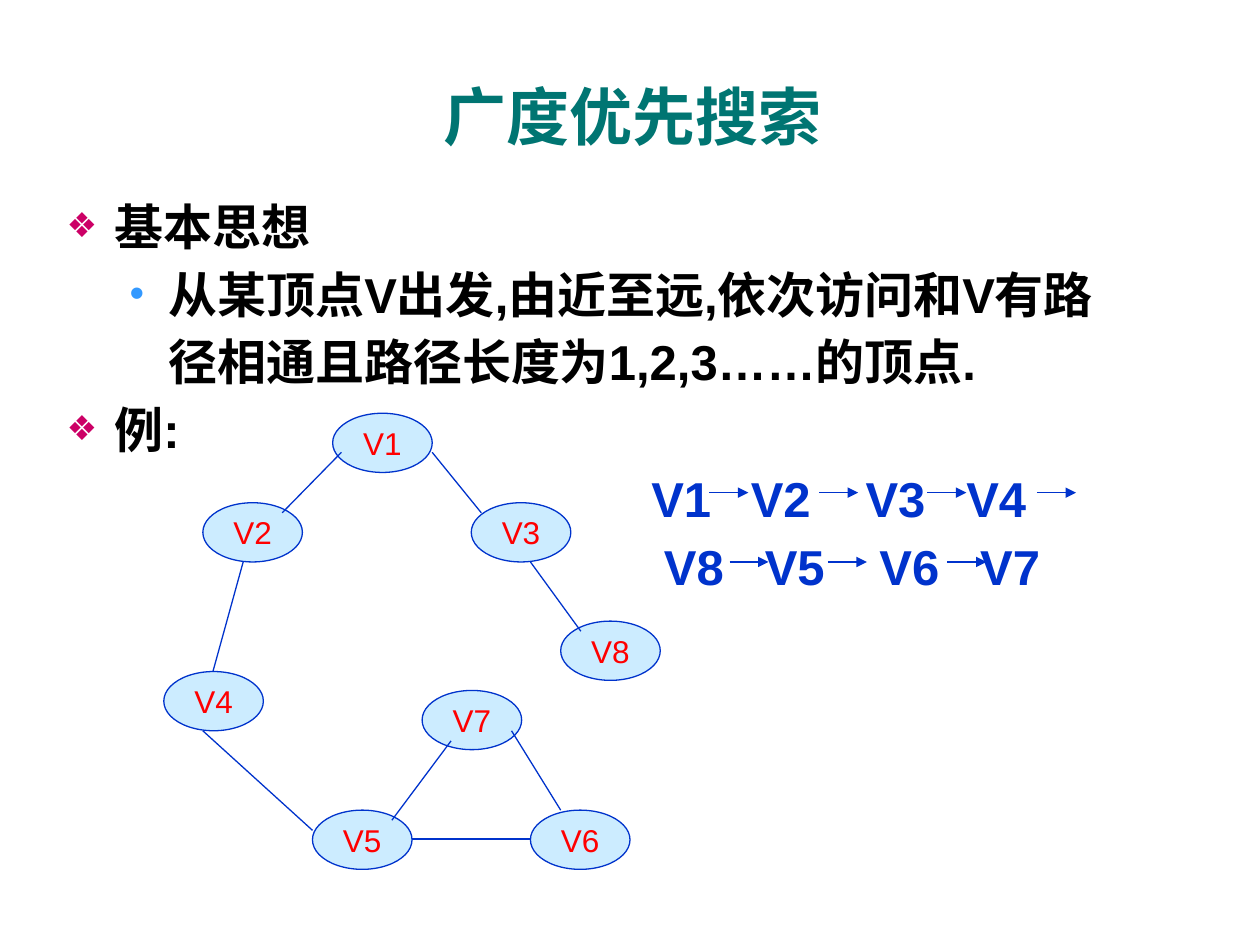
"""Build the breadth-first search slide with its example graph and visiting order."""
import pptx
import pptx.dml.color
import pptx.enum.shapes
import pptx.enum.text
import pptx.oxml
import pptx.oxml.ns
import pptx.util
from pptx.util import Inches

THEME = {
    "font": "Arial",
    "title": "007572", "body": "000000", "blue": "0033CC",
    "node_fill": "CCECFF", "node_text": "FF0000",
    "title_size": 36, "body_size": 28, "node_size": 18, "line_width": 0.75,
}
TITLE = "广度优先搜索"
BULLETS = {0: ("❖", "CC0066", 70, 0.38, -0.38), 1: ("•", "3399FF", 85, 0.81, -0.31)}
BODY = [
    (0, "基本思想"),
    (1, "从某顶点V出发,由近至远,依次访问和V有路径相通且路径长度为1,2,3……的顶点."),
    (0, "例:"),
]
BODY_BOX = (0.43, 1.44, 8.66, 5.38)
VISIT_ROWS = [
    {"names": ["V1", "V2", "V3", "V4"], "lefts": [5.17, 5.96, 6.87, 7.67], "top": 3.68,
     "arrows": [5.63, 6.5, 7.36, 8.23], "arrow_y": 3.91},
    {"names": ["V8", "V5", "V6", "V7"], "lefts": [5.27, 6.07, 6.98, 7.78], "top": 4.22,
     "arrows": [5.79, 6.57, 7.52], "arrow_y": 4.46},
]
VISIT_SIZE = (0.6, 0.54)
ARROW_LENGTH = 0.31
NODE_SIZE = (0.79, 0.47)
NODES = {
    "V1": (2.64, 3.28), "V2": (1.61, 3.99), "V3": (3.74, 3.99), "V4": (1.3, 5.33),
    "V5": (2.48, 6.43), "V7": (3.35, 5.48), "V6": (4.21, 6.43), "V8": (4.45, 4.93),
}
EDGES = [
    (1.93, 4.46, 1.69, 5.33), (2.71, 3.59, 2.24, 4.07), (3.43, 3.59, 3.82, 4.07),
    (1.61, 5.8, 2.48, 6.59), (3.58, 5.88, 3.11, 6.51), (4.06, 5.8, 4.45, 6.43),
    (3.27, 6.66, 4.21, 6.66), (4.21, 4.46, 4.61, 5.01),
]


def color(name):
    return pptx.dml.color.RGBColor.from_string(THEME[name])


def add_element(parent, tag, **attributes):
    element = pptx.oxml.parse_xml(f"<a:{tag} {pptx.oxml.ns.nsdecls('a')}/>")
    for key, value in attributes.items():
        element.set(key, str(value))
    parent.append(element)
    return element


def style_font(paragraph, size, color_name, bold):
    for run in paragraph.runs:
        run.font.name = THEME["font"]
        run.font.size = pptx.util.Pt(THEME[size])
        run.font.bold = bold
        run.font.color.rgb = color(color_name)


def add_bullet(paragraph, level):
    character, bullet_color, percent, margin, indent = BULLETS[level]
    paragraph.level = level
    properties = paragraph._p.get_or_add_pPr()
    properties.set("marL", str(Inches(margin)))
    properties.set("indent", str(Inches(indent)))
    add_element(add_element(properties, "buClr"), "srgbClr", val=bullet_color)
    add_element(properties, "buSzPct", val=percent * 1000)
    add_element(properties, "buFont", typeface=THEME["font"])
    add_element(properties, "buChar", char=character)


def add_title(slide):
    title = slide.shapes.title
    title.left, title.top, title.width, title.height = map(Inches, (0.35, 0.52, 9.34, 0.79))
    title.text_frame.text = TITLE
    title.text_frame.vertical_anchor = pptx.enum.text.MSO_ANCHOR.MIDDLE
    paragraph = title.text_frame.paragraphs[0]
    paragraph.alignment = pptx.enum.text.PP_ALIGN.CENTER
    style_font(paragraph, "title_size", "title", True)


def add_body(slide):
    frame = slide.shapes.add_textbox(*map(Inches, BODY_BOX)).text_frame
    frame.word_wrap = True
    frame.text = "\n".join(text for _, text in BODY)
    for paragraph, (level, _) in zip(frame.paragraphs, BODY):
        paragraph.line_spacing = 1.15
        add_bullet(paragraph, level)
        style_font(paragraph, "body_size", "body", True)


def add_visit_label(slide, name, left, top):
    frame = slide.shapes.add_textbox(*map(Inches, (left, top) + VISIT_SIZE)).text_frame
    frame.margin_left = frame.margin_right = frame.margin_top = frame.margin_bottom = 0
    frame.word_wrap = True
    frame.vertical_anchor = pptx.enum.text.MSO_ANCHOR.MIDDLE
    frame.text = name
    style_font(frame.paragraphs[0], "body_size", "blue", True)


def add_node(group, name, position):
    shape = group.shapes.add_shape(
        pptx.enum.shapes.MSO_SHAPE.OVAL, *map(Inches, position + NODE_SIZE))
    shape.shadow.inherit = False
    shape.fill.solid()
    shape.fill.fore_color.rgb = color("node_fill")
    shape.line.color.rgb = color("blue")
    shape.line.width = pptx.util.Pt(THEME["line_width"])
    frame = shape.text_frame
    frame.text = name
    frame.word_wrap = False
    frame.vertical_anchor = pptx.enum.text.MSO_ANCHOR.MIDDLE
    frame.paragraphs[0].alignment = pptx.enum.text.PP_ALIGN.CENTER
    style_font(frame.paragraphs[0], "node_size", "node_text", False)


def add_line(group, ends, arrow=False):
    connector = group.shapes.add_connector(
        pptx.enum.shapes.MSO_CONNECTOR.STRAIGHT, *map(Inches, ends))
    connector.line.color.rgb = color("blue")
    connector.line.width = pptx.util.Pt(THEME["line_width"])
    if arrow:
        add_element(connector.line._get_or_add_ln(), "tailEnd", type="triangle")
    add_element(connector._element.spPr, "effectLst")


def main():
    presentation = pptx.Presentation()
    presentation.slide_width, presentation.slide_height = Inches(10), Inches(7.5)
    slide = presentation.slides.add_slide(presentation.slide_layouts.get_by_name("Title Only"))
    add_title(slide)
    add_body(slide)
    for row in VISIT_ROWS:
        for name, left in zip(row["names"], row["lefts"]):
            add_visit_label(slide, name, left, row["top"])
    graph = slide.shapes.add_group_shape()
    for name, position in NODES.items():
        add_node(graph, name, position)
    for ends in EDGES:
        add_line(graph, ends)
    visit_arrows = slide.shapes.add_group_shape()
    for row in VISIT_ROWS:
        for left in row["arrows"]:
            ends = (left, row["arrow_y"], left + ARROW_LENGTH, row["arrow_y"])
            add_line(visit_arrows, ends, arrow=True)
    presentation.save("out.pptx")


if __name__ == "__main__":
    main()
